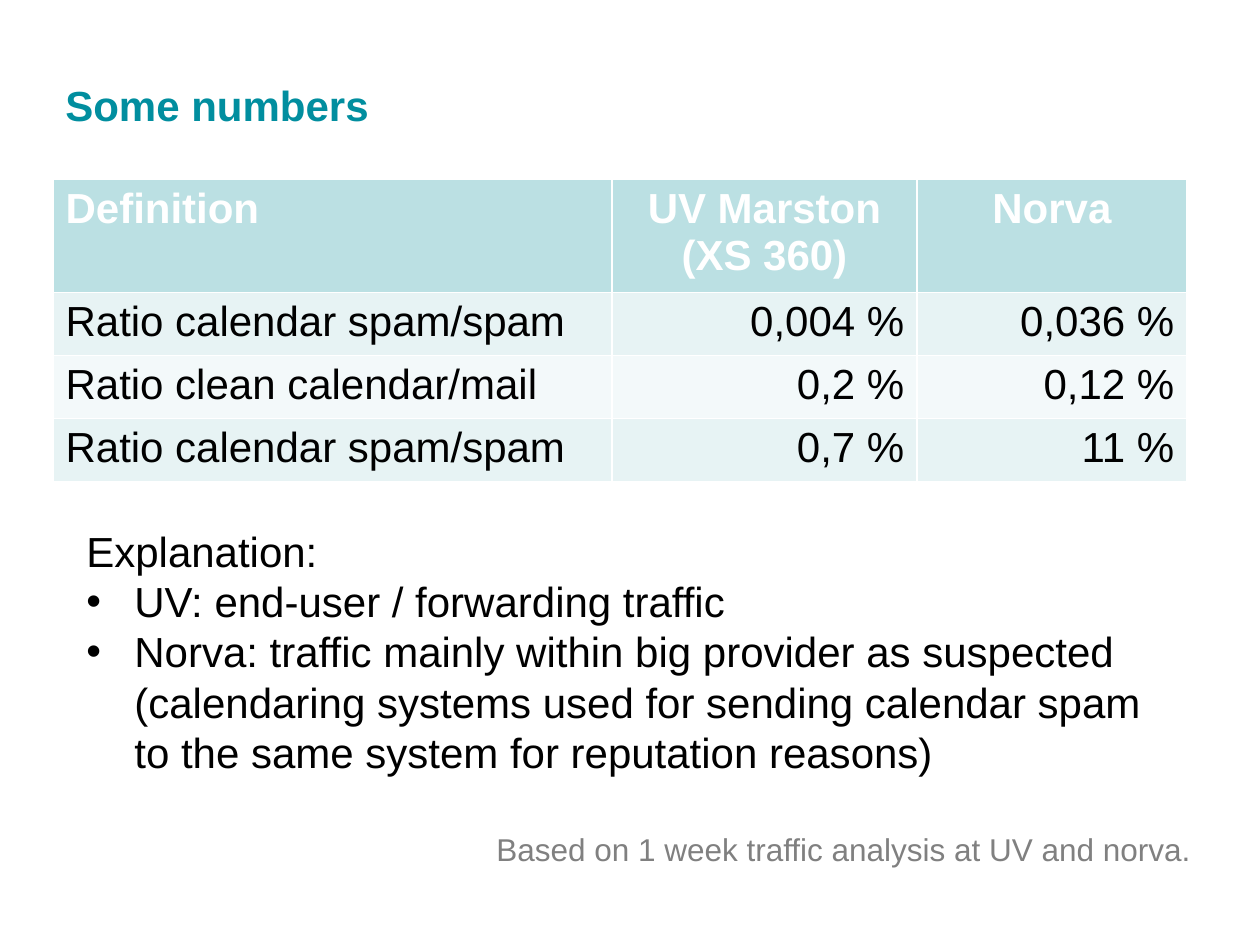
from pptx import Presentation
from pptx.dml.color import RGBColor
from pptx.enum.text import MSO_ANCHOR, PP_ALIGN
from pptx.oxml import parse_xml
from pptx.oxml.ns import nsdecls
from pptx.util import Pt

PX = 914400 // 126  # one picture pixel in EMU

prs = Presentation()
prs.slide_width, prs.slide_height = 1260 * PX, 945 * PX
slide = prs.slides.add_slide(prs.slide_layouts[6])


def add_run(paragraph, text, color, size=24, bold=False):
    run = paragraph.add_run()
    run.text = text
    run.font.name = "Arial"
    run.font.size = Pt(size)
    run.font.bold = bold
    run.font.color.rgb = RGBColor.from_string(color)


def add_text(box, lines, color, size=24, bold=False, wrap=True):
    frame = slide.shapes.add_textbox(*(v * PX for v in box)).text_frame
    frame.word_wrap = wrap
    frame.vertical_anchor = MSO_ANCHOR.TOP
    for i, line in enumerate(lines):
        paragraph = frame.paragraphs[0] if i == 0 else frame.add_paragraph()
        paragraph.line_spacing = Pt(size * 1.2)
        add_run(paragraph, line, color, size, bold)
    return frame


# Title
add_text((53, 73, 862, 84), ["Some numbers"], "018E9F", bold=True)

# Table of ratios; the default table style draws the white borders
ratios = [
    ("Definition", "UV Marston\n(XS 360)", "Norva"),
    ("Ratio calendar spam/spam", "0,004 %", "0,036 %"),
    ("Ratio clean calendar/mail", "0,2 %", "0,12 %"),
    ("Ratio calendar spam/spam", "0,7 %", "11 %"),
]
row_fills = ["BBE0E3", "E7F3F4", "F3F9FA", "E7F3F4"]
row_heights = [106, 59, 59, 59]
column_widths = [559, 305, 270]

table = slide.shapes.add_table(
    len(ratios), len(column_widths), 53 * PX, 179 * PX,
    sum(column_widths) * PX, sum(row_heights) * PX).table
for column, width in zip(table.columns, column_widths):
    column.width = width * PX

for r, values in enumerate(ratios):
    table.rows[r].height = row_heights[r] * PX
    header = r == 0
    for c, value in enumerate(values):
        cell = table.cell(r, c)
        cell.fill.solid()
        cell.fill.fore_color.rgb = RGBColor.from_string(row_fills[r])
        paragraph = cell.text_frame.paragraphs[0]
        if c > 0:
            paragraph.alignment = PP_ALIGN.CENTER if header else PP_ALIGN.RIGHT
        for i, part in enumerate(value.split("\n")):
            if i:
                paragraph.add_line_break()
            add_run(paragraph, part, "FFFFFF" if header else "000000", bold=header)

# Source note
add_text((484, 824, 733, 50), ["Based on 1 week traffic analysis at UV and norva."],
         "808080", size=18, wrap=False)

# Explanation with bullets
explanation = add_text((74, 519, 1111, 267), [
    "Explanation:",
    "UV: end-user / forwarding traffic",
    "Norva: traffic mainly within big provider as suspected (calendaring systems "
    "used for sending calendar spam to the same system for reputation reasons)",
], "000000")
for paragraph in explanation.paragraphs[1:]:
    properties = paragraph._p.get_or_add_pPr()
    properties.set("marL", str(48 * PX))
    properties.set("indent", str(-48 * PX))
    properties.append(parse_xml(f'<a:buFont {nsdecls("a")} typeface="Arial"/>'))
    properties.append(parse_xml(f'<a:buChar {nsdecls("a")} char="•"/>'))

prs.save("out.pptx")
